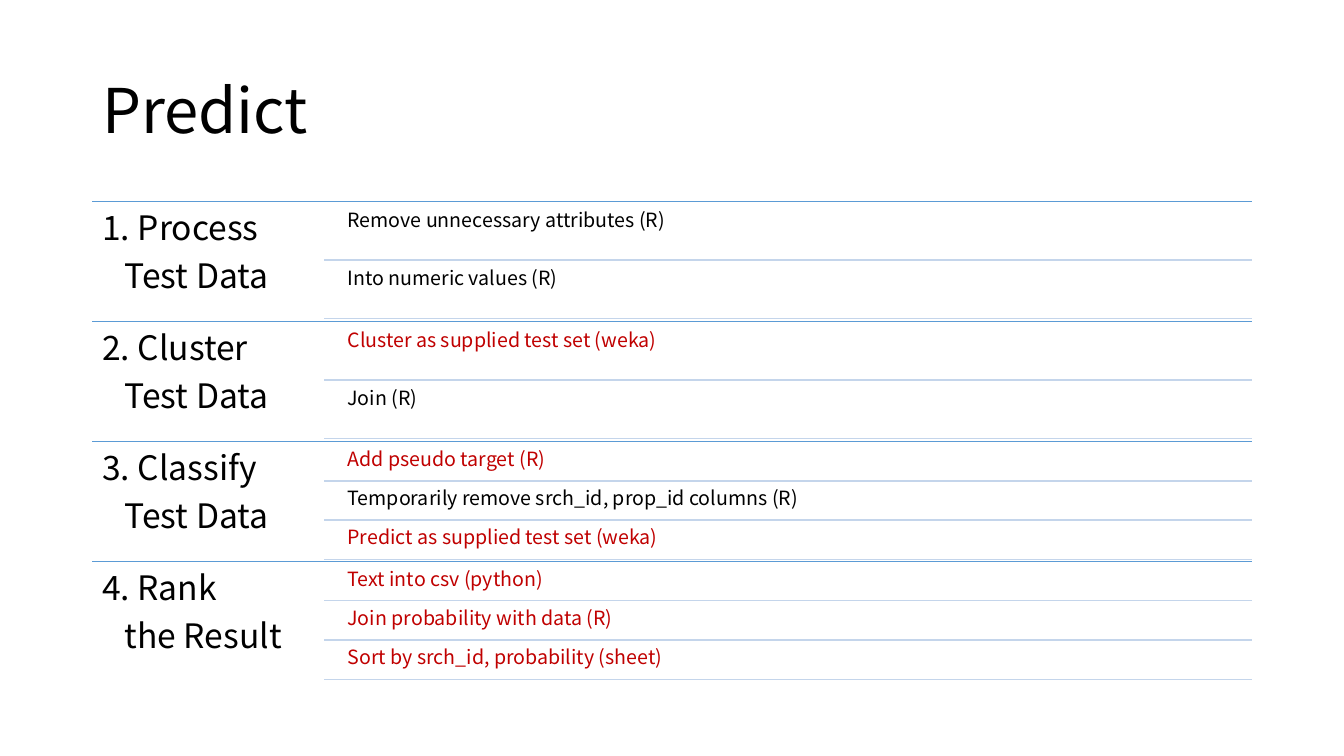
from pptx import Presentation
from pptx.dml.color import RGBColor
from pptx.enum.shapes import MSO_CONNECTOR
from pptx.enum.text import MSO_ANCHOR
from pptx.oxml.ns import qn
from pptx.util import Pt
from lxml import etree

STRAIGHT = MSO_CONNECTOR.STRAIGHT
TOP, MIDDLE = MSO_ANCHOR.TOP, MSO_ANCHOR.MIDDLE

FONT = "Noto Sans CJK KR"
COLORS = {"text": "000000", "highlight": "C00000",
          "stage_line": "5B9BD5", "step_line": "C4D5EB"}

TITLE = "Predict"
# Stage heading lines, then its steps as (text, colour name)
STAGES = [
    (["1. Process", "Test Data"],
     [("Remove unnecessary attributes (R)", "text"),
      ("Into numeric values (R)", "text")]),
    (["2. Cluster", "Test Data"],
     [("Cluster as supplied test set (weka)", "highlight"),
      ("Join (R)", "text")]),
    (["3. Classify", "Test Data"],
     [("Add pseudo target (R)", "highlight"),
      ("Temporarily remove srch_id, prop_id columns (R)", "text"),
      ("Predict as supplied test set (weka)", "highlight")]),
    (["4. Rank", "the Result"],
     [("Text into csv (python)", "highlight"),
      ("Join probability with data (R)", "highlight"),
      ("Sort by srch_id, probability (sheet)", "highlight")]),
]

LEFT, RIGHT = 66, 894
STAGES_TOP, STAGE_HEIGHT = 144, 85.67
HEADING_WIDTH = 165.6
STEP_LINE_LEFT = LEFT + HEADING_WIDTH
STEP_LEFT = 244
HEADING_INDENT = 16
GAP_RATIO = 0.05  # gap between steps, as a share of the step height
SPACE_AFTER_RATIO = 0.35


def add_text(page, lines, left, top, width, height, *, size, color="text",
             inset=(7.2, 7.2), anchor=TOP, space_ratio=SPACE_AFTER_RATIO,
             later_indent=0):
    """Add one paragraph per line; lines after the first are indented."""
    box = page.shapes.add_textbox(Pt(left), Pt(top), Pt(width), Pt(height))
    frame = box.text_frame
    frame.word_wrap = True
    frame.vertical_anchor = anchor
    frame.margin_left = frame.margin_right = Pt(inset[0])
    frame.margin_top = frame.margin_bottom = Pt(inset[1])
    for number, line in enumerate(lines):
        para = frame.add_paragraph() if number else frame.paragraphs[0]
        para.line_spacing = 0.9
        para.space_after = Pt(size * space_ratio)
        if number and later_indent:
            para._p.get_or_add_pPr().set("marL", str(Pt(later_indent)))
        span = para.add_run()
        span.text = line
        span.font.name = FONT
        span.font.size = Pt(size)
        span.font.color.rgb = RGBColor.from_string(COLORS[color])


def add_rule(page, left, y, color, weight):
    rule = page.shapes.add_connector(STRAIGHT, Pt(left), Pt(y), Pt(RIGHT), Pt(y))
    rule.line.color.rgb = RGBColor.from_string(COLORS[color])
    rule.line.width = Pt(weight)
    etree.SubElement(rule._element.spPr, qn("a:effectLst"))


def add_stage(page, top, heading, steps):
    add_rule(page, LEFT, top, "stage_line", 0.5)
    add_text(page, heading, LEFT, top, HEADING_WIDTH, STAGE_HEIGHT,
             size=24, later_indent=HEADING_INDENT)
    count = len(steps)
    step_height = STAGE_HEIGHT / (count + (count + 1) * GAP_RATIO)
    gap = step_height * GAP_RATIO
    pitch = step_height + gap
    for number, (text, color) in enumerate(steps):
        step_top = top + gap + number * pitch
        add_text(page, [text], STEP_LEFT, step_top, RIGHT - STEP_LEFT,
                 step_height, size=14, color=color, inset=(4.2, 4.2))
        add_rule(page, STEP_LINE_LEFT, step_top + step_height, "step_line", 1)


def main():
    deck = Presentation()
    deck.slide_width, deck.slide_height = Pt(960), Pt(540)
    page = deck.slides.add_slide(deck.slide_layouts[6])
    add_text(page, [TITLE], LEFT, 28.8, RIGHT - LEFT, 104.4, size=44,
             inset=(7.2, 3.6), anchor=MIDDLE, space_ratio=0)
    for number, (heading, steps) in enumerate(STAGES):
        add_stage(page, STAGES_TOP + number * STAGE_HEIGHT, heading, steps)
    deck.save("out.pptx")


if __name__ == "__main__":
    main()
